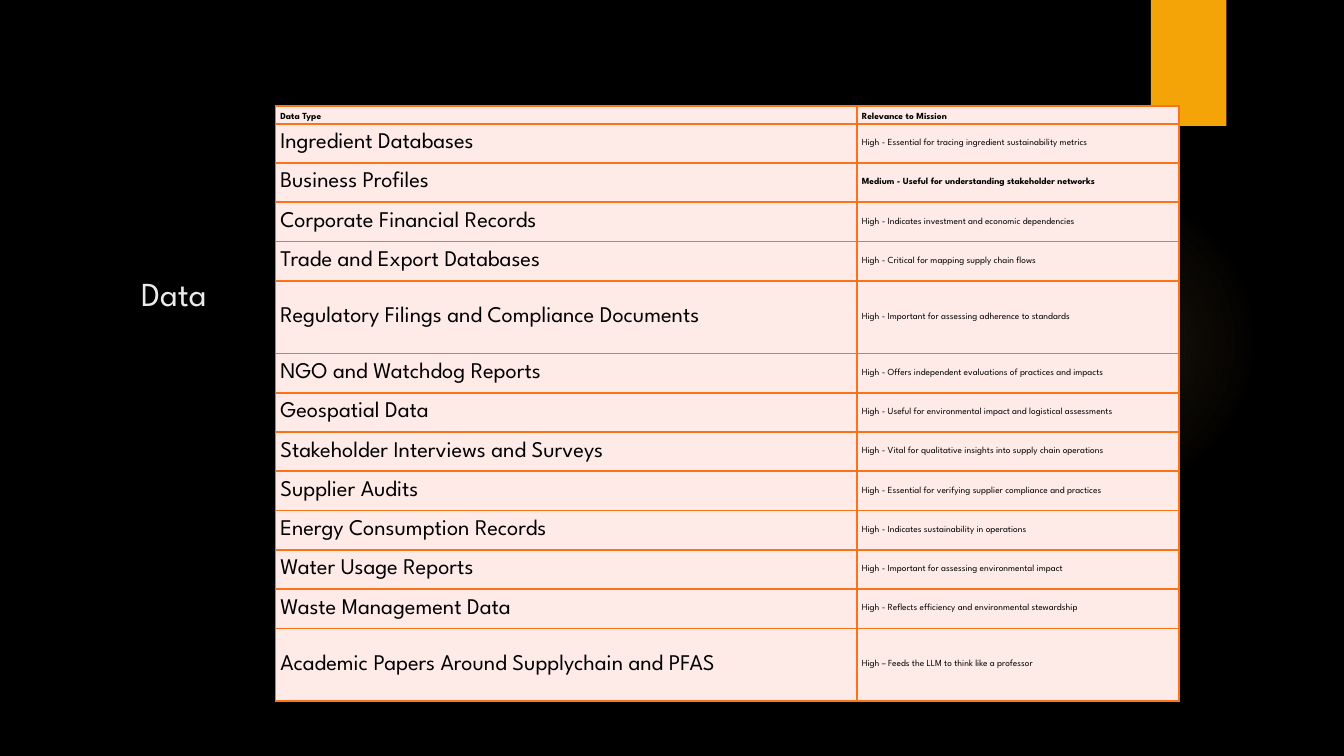
import pptx
import pptx.dml.color
import pptx.enum.shapes
import pptx.enum.text
import pptx.oxml
import pptx.oxml.ns
import pptx.util

Pt = pptx.util.Pt
RGBColor = pptx.dml.color.RGBColor
MSO_ANCHOR = pptx.enum.text.MSO_ANCHOR
MSO_SHAPE = pptx.enum.shapes.MSO_SHAPE

BLACK = RGBColor(0x00, 0x00, 0x00)
AMBER = RGBColor(0xF5, 0xA4, 0x08)
GLOW = RGBColor(0xFA, 0xC9, 0x6A)
OFF_WHITE = RGBColor(0xEB, 0xEB, 0xEB)
ORANGE = RGBColor(0xFA, 0x73, 0x1A)
BLUSH = RGBColor(0xFE, 0xEB, 0xE8)
FONT = "League Spartan"
NAMESPACE = pptx.oxml.ns.nsdecls("a")

HEADER_HEIGHT, ROW_HEIGHT, TALL_HEIGHT = 9.4, 21.05, 39
COLUMN_WIDTHS = (311.5, 172.5)
TALL_ROWS = (5, 13)
BOLD_CELLS = ((0, 0), (0, 1), (2, 1))
ROWS = [
    ("Data Type", "Relevance to Mission"),
    ("Ingredient Databases", "High - Essential for tracing ingredient sustainability metrics"),
    ("Business Profiles", "Medium - Useful for understanding stakeholder networks"),
    ("Corporate Financial Records", "High - Indicates investment and economic dependencies"),
    ("Trade and Export Databases", "High - Critical for mapping supply chain flows"),
    ("Regulatory Filings and Compliance Documents",
     "High - Important for assessing adherence to standards"),
    ("NGO and Watchdog Reports", "High - Offers independent evaluations of practices and impacts"),
    ("Geospatial Data", "High - Useful for environmental impact and logistical assessments"),
    ("Stakeholder Interviews and Surveys",
     "High - Vital for qualitative insights into supply chain operations"),
    ("Supplier Audits", "High - Essential for verifying supplier compliance and practices"),
    ("Energy Consumption Records", "High - Indicates sustainability in operations"),
    ("Water Usage Reports", "High - Important for assessing environmental impact"),
    ("Waste Management Data", "High - Reflects efficiency and environmental stewardship"),
    ("Academic Papers Around Supplychain and PFAS",
     "High – Feeds the LLM to think like a professor"),
]


def add_run(paragraph, text, size, color, bold=False):
    run = paragraph.add_run()
    run.text = text
    run.font.name = FONT
    run.font.size = Pt(size)
    run.font.bold = bold
    run.font.color.rgb = color


def add_borders(cell):
    properties = cell._tc.get_or_add_tcPr()
    for side in ("lnL", "lnR", "lnT", "lnB"):
        properties.append(pptx.oxml.parse_xml(
            f'<a:{side} {NAMESPACE} w="{Pt(1)}"><a:solidFill>'
            f'<a:srgbClr val="{ORANGE}"/></a:solidFill></a:{side}>'))


presentation = pptx.Presentation()
presentation.slide_width = Pt(720)
presentation.slide_height = Pt(405)
slide = presentation.slides.add_slide(presentation.slide_layouts[5])
slide.background.fill.solid()
slide.background.fill.fore_color.rgb = BLACK

# Soft glow that fades out from its centre
glow = slide.shapes.add_shape(MSO_SHAPE.OVAL, Pt(508.5), Pt(99.5), Pt(166.5), Pt(166.5))
glow.shadow.inherit = False
glow.line.fill.background()
stops = "".join(
    f'<a:gs pos="{position * 1000}"><a:srgbClr val="{GLOW}">'
    f'<a:alpha val="{alpha * 1000}"/></a:srgbClr></a:gs>'
    for position, alpha in ((0, 7), (36, 6), (69, 0)))
glow_geometry = glow._element.spPr.find(pptx.oxml.ns.qn("a:prstGeom"))
glow_geometry.addnext(pptx.oxml.parse_xml(
    f'<a:gradFill {NAMESPACE}><a:gsLst>{stops}</a:gsLst><a:path path="circle">'
    '<a:fillToRect l="50000" t="50000" r="50000" b="50000"/></a:path></a:gradFill>'))

tab = slide.shapes.add_shape(MSO_SHAPE.RECTANGLE, Pt(616.5), Pt(0), Pt(40.5), Pt(67.5))
tab.shadow.inherit = False
tab.line.fill.background()
tab.fill.solid()
tab.fill.fore_color.rgb = AMBER

title = slide.shapes.title
title.left, title.top, title.width, title.height = Pt(68.4), Pt(85.7), Pt(201), Pt(85.7)
title.text_frame.auto_size = pptx.enum.text.MSO_AUTO_SIZE.NONE
title.text_frame.word_wrap = True
title.text_frame.vertical_anchor = MSO_ANCHOR.BOTTOM
title_paragraph = title.text_frame.paragraphs[0]
title_paragraph.alignment = pptx.enum.text.PP_ALIGN.LEFT
add_run(title_paragraph, "Data", 18, OFF_WHITE)

heights = [HEADER_HEIGHT] + [
    TALL_HEIGHT if row in TALL_ROWS else ROW_HEIGHT for row in range(1, len(ROWS))]
table = slide.shapes.add_table(
    len(ROWS), len(COLUMN_WIDTHS), Pt(147.5), Pt(56.9),
    Pt(sum(COLUMN_WIDTHS)), Pt(sum(heights))).table
table.first_row = False
table.horz_banding = False
for column, width in zip(table.columns, COLUMN_WIDTHS):
    column.width = Pt(width)
for row, height in zip(table.rows, heights):
    row.height = Pt(height)

for row_index, texts in enumerate(ROWS):
    for column_index, text in enumerate(texts):
        cell = table.cell(row_index, column_index)
        add_borders(cell)
        cell.fill.solid()
        cell.fill.fore_color.rgb = BLUSH
        cell.margin_left = cell.margin_right = Pt(2.7)
        cell.margin_top = cell.margin_bottom = Pt(1.3)
        cell.vertical_anchor = MSO_ANCHOR.MIDDLE if row_index else MSO_ANCHOR.BOTTOM
        size = 12 if row_index and column_index == 0 else 5
        add_run(cell.text_frame.paragraphs[0], text, size, BLACK,
                (row_index, column_index) in BOLD_CELLS)

presentation.save("out.pptx")
